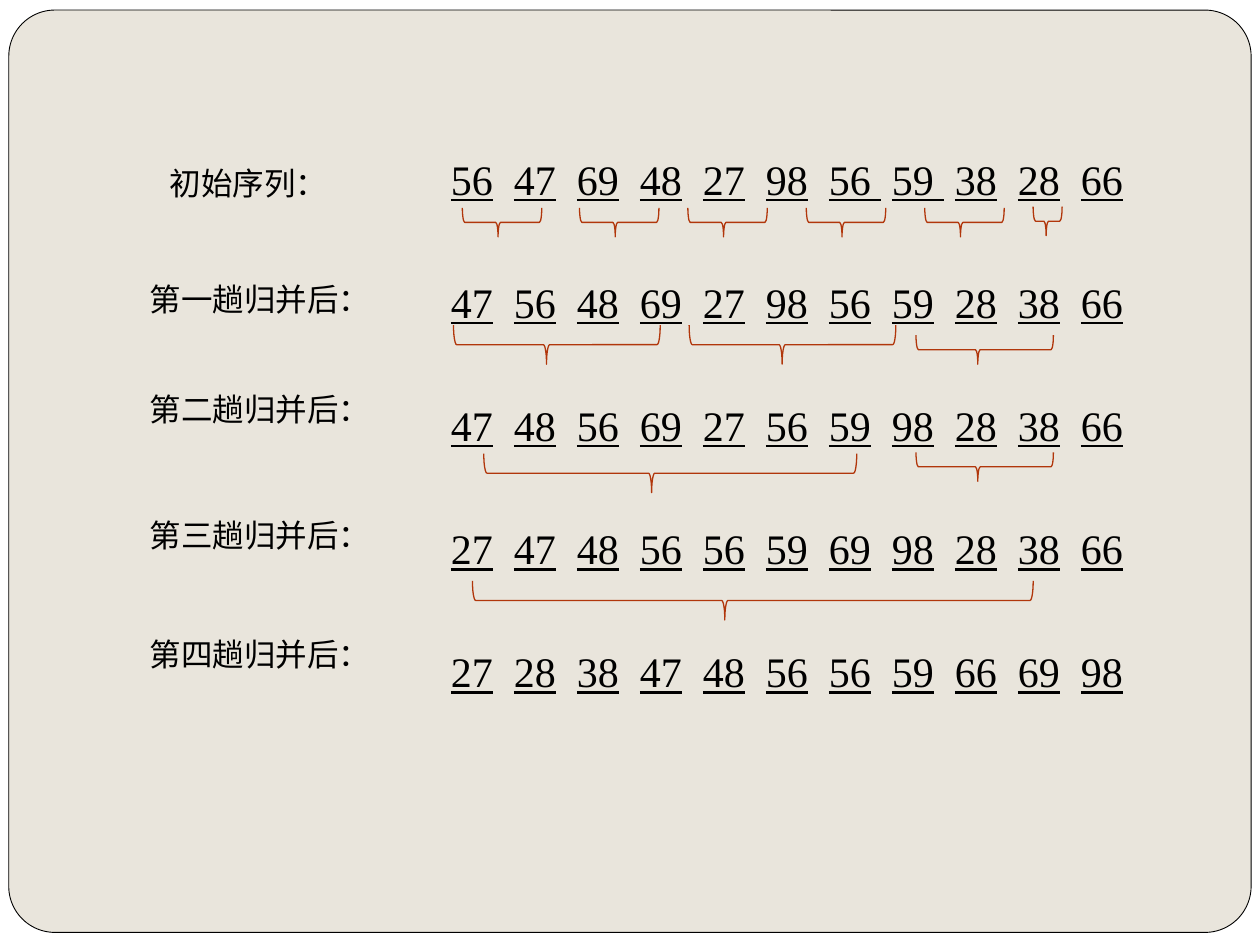
from dataclasses import dataclass

from lxml import etree
from pptx import Presentation
from pptx.dml.color import RGBColor
from pptx.enum.shapes import MSO_SHAPE
from pptx.oxml.ns import qn
from pptx.util import Inches, Pt

ROUND = MSO_SHAPE.ROUNDED_RECTANGLE
BRACE = MSO_SHAPE.LEFT_BRACE


@dataclass(frozen=True)
class Theme:
    font: str = "Times New Roman"
    ink: RGBColor = RGBColor(0, 0, 0)
    page: RGBColor = RGBColor(255, 255, 255)
    panel: RGBColor = RGBColor(0xE9, 0xE5, 0xDC)
    brace: RGBColor = RGBColor(0xB1, 0x36, 0x0B)
    label: Pt = Pt(18)
    number: Pt = Pt(24)


THEME = Theme()

LABELS = [
    (1.25, 1.25, "初始序列："),
    (1.09, 2.17, "第一趟归并后："),
    (1.09, 3.05, "第二趟归并后："),
    (1.09, 4.05, "第三趟归并后："),
    (1.09, 4.99, "第四趟归并后："),
]

# "|" parts the underlined groups, "," the numbers within a group
PASSES = [
    "56|47|69|48|27|98|56 |59 |38|28|66",
    "47,56|48,69|27,98|56,59|28,38|66",
    "47,48,56,69|27,56,59,98|28,38,66",
    "27,47,48,56,56,59,69,98|28,38,66",
    "27,28,38,47,48,56,56,59,66,69,98",
]
COLUMN = 0.5

# left, top, span and depth as seen, tip down
BRACES = [(left, 1.65, 0.63, 0.23) for left in (3.67, 4.6, 5.46, 6.4, 7.34)]
BRACES += [
    (8.2, 1.64, 0.23, 0.23),
    (3.6, 2.58, 1.64, 0.31),
    (5.47, 2.58, 1.64, 0.31),
    (7.27, 2.66, 1.09, 0.23),
    (3.84, 3.6, 2.96, 0.31),
    (7.27, 3.59, 1.09, 0.23),
    (3.75, 4.61, 4.45, 0.31),
]


def style(font, size):
    font.name = THEME.font
    font.size = size
    font.color.rgb = THEME.ink


def add_box(left, top, width, height):
    box = slide.shapes.add_textbox(
        Inches(left), Inches(top), Inches(width), Inches(height))
    box.text_frame.word_wrap = True
    return box.text_frame


deck = Presentation()
deck.slide_width, deck.slide_height = Inches(10), Inches(7.5)
slide = deck.slides.add_slide(deck.slide_layouts[6])
slide.background.fill.solid()
slide.background.fill.fore_color.rgb = THEME.page

panel = slide.shapes.add_shape(
    ROUND, Inches(0.07), Inches(0.08), Inches(9.86), Inches(7.32))
panel.shadow.inherit = False
panel.adjustments[0] = 0.05
panel.fill.solid()
panel.fill.fore_color.rgb = THEME.panel
panel.line.color.rgb = THEME.ink
panel.line.width = Pt(0.5)

# Number rows share one box, with a tab stop for each column
frame = add_box(3.48, 1.17, 5.9, 4.76)
for row, groups in enumerate(PASSES):
    para = frame.add_paragraph() if row else frame.paragraphs[0]
    if row:
        para.space_before = Pt(41.5)
    tabs = etree.SubElement(para._p.get_or_add_pPr(), qn("a:tabLst"))
    for col in range(1, 11):
        etree.SubElement(tabs, qn("a:tab"),
                         pos=str(Inches(col * COLUMN)), algn="l")
    for place, group in enumerate(groups.split("|")):
        if place:
            gap = para.add_run()
            gap.text = "\t"
            style(gap.font, THEME.number)
        run = para.add_run()
        run.text = group.replace(",", "\t")
        style(run.font, THEME.number)
        run.font.underline = True

for left, top, text in LABELS:
    frame = add_box(left, top, 2, 0.4)
    frame.text = text
    style(frame.paragraphs[0].runs[0].font, THEME.label)

for left, top, span, depth in BRACES:
    # The frame is upright before its quarter turn about the centre
    shift = (span - depth) / 2
    brace = slide.shapes.add_shape(
        BRACE, Inches(left + shift), Inches(top - shift),
        Inches(depth), Inches(span))
    brace.rotation = 270
    brace.shadow.inherit = False
    brace.adjustments[0] = 0.08
    brace.adjustments[1] = 0.45
    brace.fill.background()
    brace.line.color.rgb = THEME.brace
    brace.line.width = Pt(0.75)

deck.save("out.pptx")
